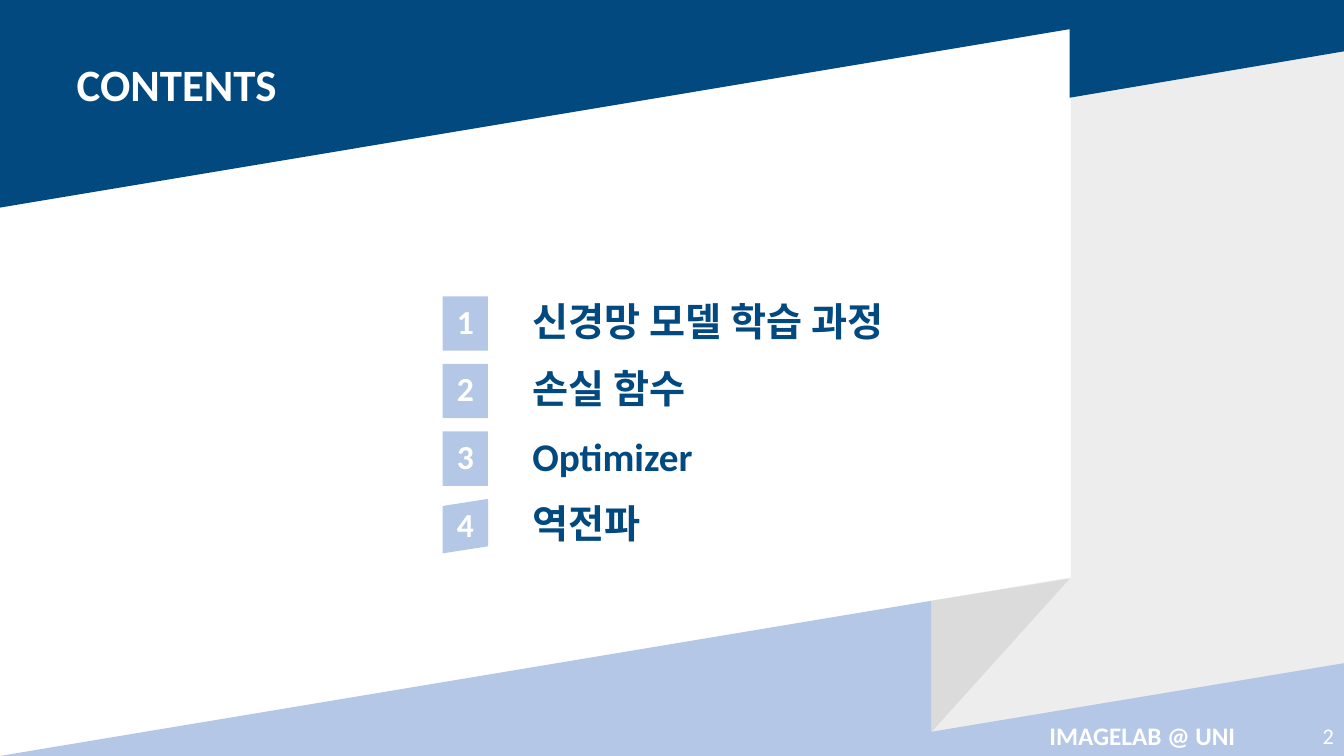
from lxml import etree
from pptx import Presentation
from pptx import util as u
from pptx.dml.color import RGBColor
from pptx.enum import shapes, text
from pptx.oxml.ns import qn

COLORS = {
    "navy": "02497F",
    "sky": "B4C7E7",
    "paper": "EDEDED",
    "fold": "DBDBDB",
    "white": "FFFFFF",
}
FONT = "Calibri"
TOPICS = ["신경망 모델 학습 과정", "손실 함수", "Optimizer", "역전파"]
ROW_PITCH = 0.67
ROW_HEIGHT = 0.54
BADGE_WIDTH = 0.45

# Background bands, from back to front, in inches from the page corner
BANDS = [
    ("paper", [(13.33, 0.51), (13.33, 6.59), (9.24, 7.27), (9.24, 5.96),
               (10.62, 5.73), (10.62, 0.96)]),
    ("navy", [(0, 0), (13.33, 0), (13.33, 0.51), (10.61, 0.97),
              (10.61, 0.29), (0, 2.06)]),
    ("sky", [(9.24, 5.96), (9.24, 7.26), (13.33, 6.58), (13.33, 7.5),
             (0, 7.5)]),
    ("fold", [(10.61, 5.74), (9.24, 7.26), (9.24, 5.96)]),
]


def color(name):
    return RGBColor.from_string(COLORS[name])


def place(shape, left, top, width, height):
    shape.left, shape.top = u.Inches(left), u.Inches(top)
    shape.width, shape.height = u.Inches(width), u.Inches(height)


def paint(shape, fill):
    shape.shadow.inherit = False
    shape.fill.solid()
    shape.fill.fore_color.rgb = color(fill)
    shape.line.fill.background()


def add_polygon(slide, left, top, points, fill):
    """Draw a closed outline whose points are relative to left and top."""
    corners = [(u.Inches(left + x), u.Inches(top + y)) for x, y in points]
    builder = slide.shapes.build_freeform(*corners[0])
    builder.add_line_segments(corners[1:], close=True)
    shape = builder.convert_to_shape()
    paint(shape, fill)
    return shape


def write(shape, words, size, ink="white", bold=True,
          align=text.PP_ALIGN.LEFT, anchor=text.MSO_ANCHOR.MIDDLE, wrap=True):
    frame = shape.text_frame
    frame.auto_size = text.MSO_AUTO_SIZE.NONE
    frame.word_wrap = wrap
    frame.vertical_anchor = anchor
    para = frame.paragraphs[0]
    para.alignment = align
    span = para.add_run()
    span.text = words
    span.font.name = FONT
    span.font.size = u.Pt(size)
    span.font.bold = bold
    span.font.color.rgb = color(ink)
    return para


def set_list_spacing(para):
    para.line_spacing = 0.9
    para.space_before = u.Pt(10)


def remove_bullet(para):
    properties = para._p.get_or_add_pPr()
    properties.set("marL", "0")
    properties.set("indent", "0")
    etree.SubElement(properties, qn("a:buNone"))


def bring_to_front(shape):
    shape.element.getparent().append(shape.element)


def add_background(slide, left, top):
    for fill, points in BANDS:
        add_polygon(slide, left, top, points, fill)


def add_title(slide, left, top, width, height):
    title = slide.shapes.title
    place(title, left, top, width, height)
    write(title, "CONTENTS", 32, anchor=text.MSO_ANCHOR.TOP, wrap=False)
    bring_to_front(title)


def add_badge(slide, number, left, top, slanted):
    if slanted:
        rise = 0.07
        points = [(0, rise), (BADGE_WIDTH, 0),
                  (BADGE_WIDTH, ROW_HEIGHT - rise), (0, ROW_HEIGHT)]
        badge = add_polygon(slide, left, top, points, "sky")
    else:
        badge = slide.shapes.add_shape(
            shapes.MSO_SHAPE.RECTANGLE, u.Inches(left), u.Inches(top),
            u.Inches(BADGE_WIDTH), u.Inches(ROW_HEIGHT))
        paint(badge, "sky")
    para = write(badge, str(number), 24, align=text.PP_ALIGN.CENTER)
    set_list_spacing(para)


def add_topics(slide, left, top, width):
    """Fill one body placeholder per topic, each beside its numbered badge."""
    bodies = [box for box in slide.placeholders
              if box.placeholder_format.idx in range(1, len(TOPICS) + 1)]
    label_offset = 0.79
    for row, (body, topic) in enumerate(zip(bodies, TOPICS)):
        row_top = top + row * ROW_PITCH
        add_badge(slide, row + 1, left, row_top, row == len(TOPICS) - 1)
        place(body, left + label_offset, row_top,
              width - label_offset, ROW_HEIGHT)
        para = write(body, topic, 28, "navy")
        set_list_spacing(para)
        remove_bullet(para)
        bring_to_front(body)


def add_footer(slide, left, top, width, height):
    number_width = 0.6
    name_width = width - number_width
    name = slide.shapes.add_textbox(
        u.Inches(left), u.Inches(top), u.Inches(name_width), u.Inches(height))
    write(name, "IMAGELAB @ UNI", 18, align=text.PP_ALIGN.CENTER)
    number = slide.shapes.add_textbox(
        u.Inches(left + name_width), u.Inches(top),
        u.Inches(number_width), u.Inches(height))
    write(number, "2", 16, bold=False, align=text.PP_ALIGN.RIGHT)


def add_contents_slide(deck):
    comparison_layout = deck.slide_layouts[4]
    slide = deck.slides.add_slide(comparison_layout)
    add_background(slide, 0, 0)
    add_title(slide, 0.66, 0.51, 2.21, 0.64)
    add_topics(slide, 4.39, 2.94, 6.39)
    add_footer(slide, 9.93, 7.1, 3.4, 0.4)


def main():
    deck = Presentation()
    deck.slide_width, deck.slide_height = u.Inches(13.33), u.Inches(7.5)
    add_contents_slide(deck)
    deck.save("out.pptx")


if __name__ == "__main__":
    main()
